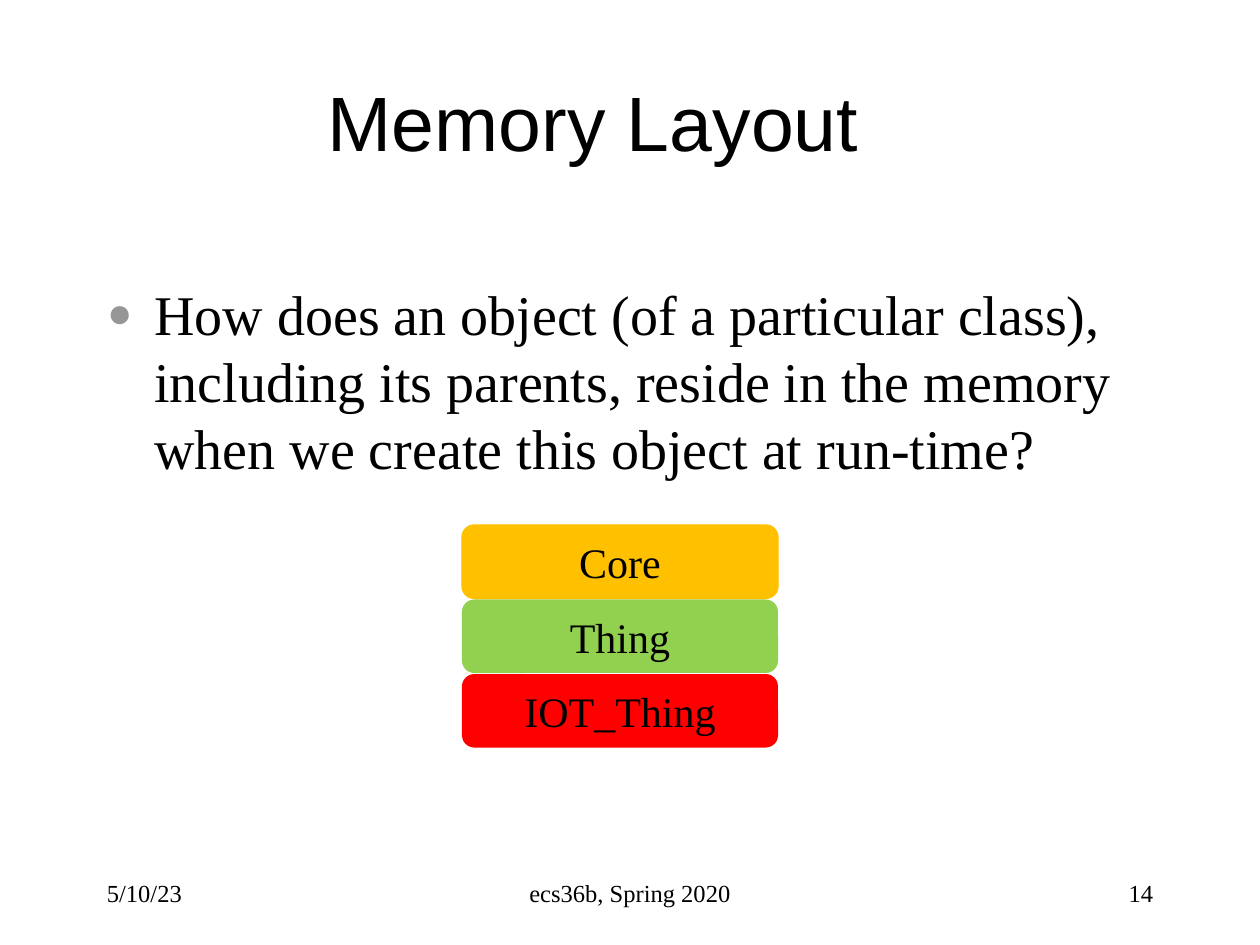
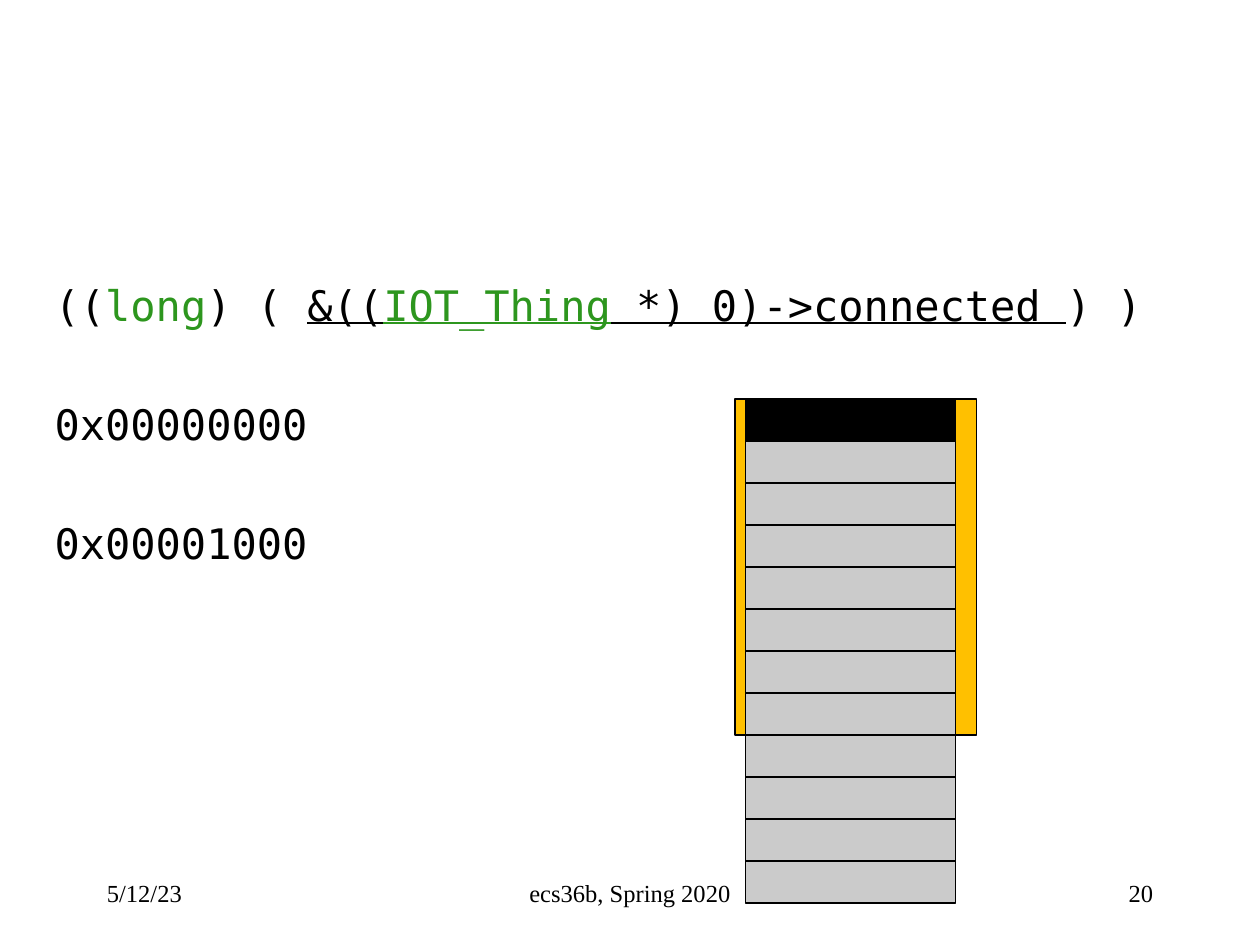
from dataclasses import dataclass

from lxml.etree import SubElement
from pptx import Presentation
from pptx.dml.color import RGBColor
from pptx.enum.shapes import MSO_SHAPE as SHAPE
from pptx.enum.text import MSO_ANCHOR as ANCHOR, MSO_AUTO_SIZE as AUTO, PP_ALIGN as ALIGN
from pptx.oxml.ns import qn
from pptx.util import Emu, Pt

# Shared style: 120 px to the inch
PX = 7620
SERIF, SANS, MONO = "Times New Roman", "Arial", "DejaVu Sans Mono"
BLACK, GREY, BULLET = "000000", "CBCBCB", "969696"
AMBER, LIME, RED, TYPE_GREEN = "FFC000", "92D050", "FF0000", "2D961E"


@dataclass(frozen=True)
class Rect:
    x: int
    y: int
    w: int
    h: int

    def emu(self) -> list[Emu]:
        return [Emu(v * PX) for v in (self.x, self.y, self.w, self.h)]


@dataclass(frozen=True)
class Block:
    rect: Rect
    fill: str
    line: str = ""
    weight: float = 1
    label: str = ""
    kind: SHAPE = SHAPE.RECTANGLE


@dataclass(frozen=True)
class CodeRun:
    text: str
    color: str = BLACK
    underline: bool = False


def rgb(color: str) -> RGBColor:
    return RGBColor.from_string(color)


def style(r, font: str, size: int, color: str = BLACK) -> None:
    r.font.name = font
    r.font.size = Pt(size)
    r.font.color.rgb = rgb(color)


def place(sp, rect: Rect) -> None:
    sp.left, sp.top, sp.width, sp.height = rect.emu()


def add_block(slide, block: Block) -> None:
    sp = slide.shapes.add_shape(block.kind, *block.rect.emu())
    sp.shadow.inherit = False
    sp.fill.solid()
    sp.fill.fore_color.rgb = rgb(block.fill)
    if block.line:
        sp.line.color.rgb = rgb(block.line)
        sp.line.width = Pt(block.weight)
    else:
        sp.line.fill.background()
    if block.label:
        tf = sp.text_frame
        tf.text = block.label
        tf.vertical_anchor = ANCHOR.MIDDLE
        p = tf.paragraphs[0]
        p.alignment = ALIGN.CENTER
        style(p.runs[0], SERIF, 24)


def add_footer(slide, date: str, number: str) -> None:
    for text, x, w, align in (
        (date, 90, 250, ALIGN.LEFT),
        ("ecs36b, Spring 2020", 410, 380, ALIGN.CENTER),
        (number, 860, 250, ALIGN.RIGHT),
    ):
        tf = slide.shapes.add_textbox(*Rect(x, 820, w, 60).emu()).text_frame
        tf.word_wrap = True
        tf.vertical_anchor = ANCHOR.MIDDLE
        tf.text = text
        p = tf.paragraphs[0]
        p.alignment = align
        style(p.runs[0], SERIF, 14)


def set_bullet(p, char: str = "", indent: int = 0) -> None:
    pPr = p._p.get_or_add_pPr()
    pPr.set("marL", str(indent * PX))
    pPr.set("indent", str(-indent * PX))
    if not char:
        SubElement(pPr, qn("a:buNone"))
        return
    color = SubElement(pPr, qn("a:buClr"))
    SubElement(color, qn("a:srgbClr"), val=BULLET)
    SubElement(pPr, qn("a:buSzPct"), val="75000")
    SubElement(pPr, qn("a:buChar"), char=char)


def body_frame(slide, rect: Rect):
    sp = slide.placeholders[1]
    place(sp, rect)
    tf = sp.text_frame
    tf.auto_size = AUTO.NONE
    return tf


def memory_layout(prs) -> None:
    slide = prs.slides.add_slide(prs.slide_layouts[1])

    # Title
    title = slide.shapes.title
    place(title, Rect(150, 40, 830, 150))
    title.text_frame.text = "Memory Layout"
    title.text_frame.vertical_anchor = ANCHOR.MIDDLE
    p = title.text_frame.paragraphs[0]
    p.alignment = ALIGN.CENTER
    style(p.runs[0], SANS, 44)

    # Question
    tf = body_frame(slide, Rect(90, 260, 1020, 540))
    tf.text = ("How does an object (of a particular class), including its parents, "
               "reside in the memory when we create this object at run-time?")
    p = tf.paragraphs[0]
    set_bullet(p, "●", 45)
    p.space_before = Pt(0)
    p.line_spacing = Pt(38.3)
    style(p.runs[0], SERIF, 32)
    add_footer(slide, "5/10/23", "14")

    # Class stack, with the outlined base class above its neighbour
    for row, label, fill, line in (
        (1, "Thing", LIME, ""),
        (0, "Core", AMBER, AMBER),
        (2, "IOT_Thing", RED, ""),
    ):
        rect = Rect(440, 500 + row * 71, 301, 70)
        add_block(slide, Block(rect, fill, line, 0.75, label, SHAPE.ROUNDED_RECTANGLE))


def member_offset(prs) -> None:
    slide = prs.slides.add_slide(prs.slide_layouts[1])
    title = slide.shapes.title._element
    title.getparent().remove(title)

    # Offset expression and addresses
    lines = (
        (CodeRun("(("), CodeRun("long", TYPE_GREEN), CodeRun(") ( "),
         CodeRun("&((", underline=True), CodeRun("IOT_Thing", TYPE_GREEN, True),
         CodeRun(" *) 0)->connected ", underline=True), CodeRun(") )")),
        (CodeRun("0x00000000"),),
        (CodeRun("0x00001000"),),
    )
    tf = body_frame(slide, Rect(40, 260, 1070, 540))
    for i, line in enumerate(lines):
        p = tf.add_paragraph() if i else tf.paragraphs[0]
        set_bullet(p)
        p.space_before = Pt(39.2 if i else 0)
        for part in line:
            r = p.add_run()
            r.text = part.text
            style(r, MONO, 24, part.color)
            r.font.underline = part.underline
    add_footer(slide, "5/12/23", "20")

    # Object extent, behind the memory cells
    extent = Block(Rect(700, 380, 230, 320), AMBER, BLACK)
    add_block(slide, extent)
    tree = slide.shapes._spTree
    tree.insert(2, tree[-1])

    # Memory cells
    for i in range(12):
        rect = Rect(710, 380 + i * 40, 200, 40)
        add_block(slide, Block(rect, GREY if i else BLACK, BLACK))


def main() -> None:
    prs = Presentation()
    prs.slide_width, prs.slide_height = Emu(1200 * PX), Emu(900 * PX)
    memory_layout(prs)
    member_offset(prs)
    prs.save("out.pptx")


if __name__ == "__main__":
    main()
